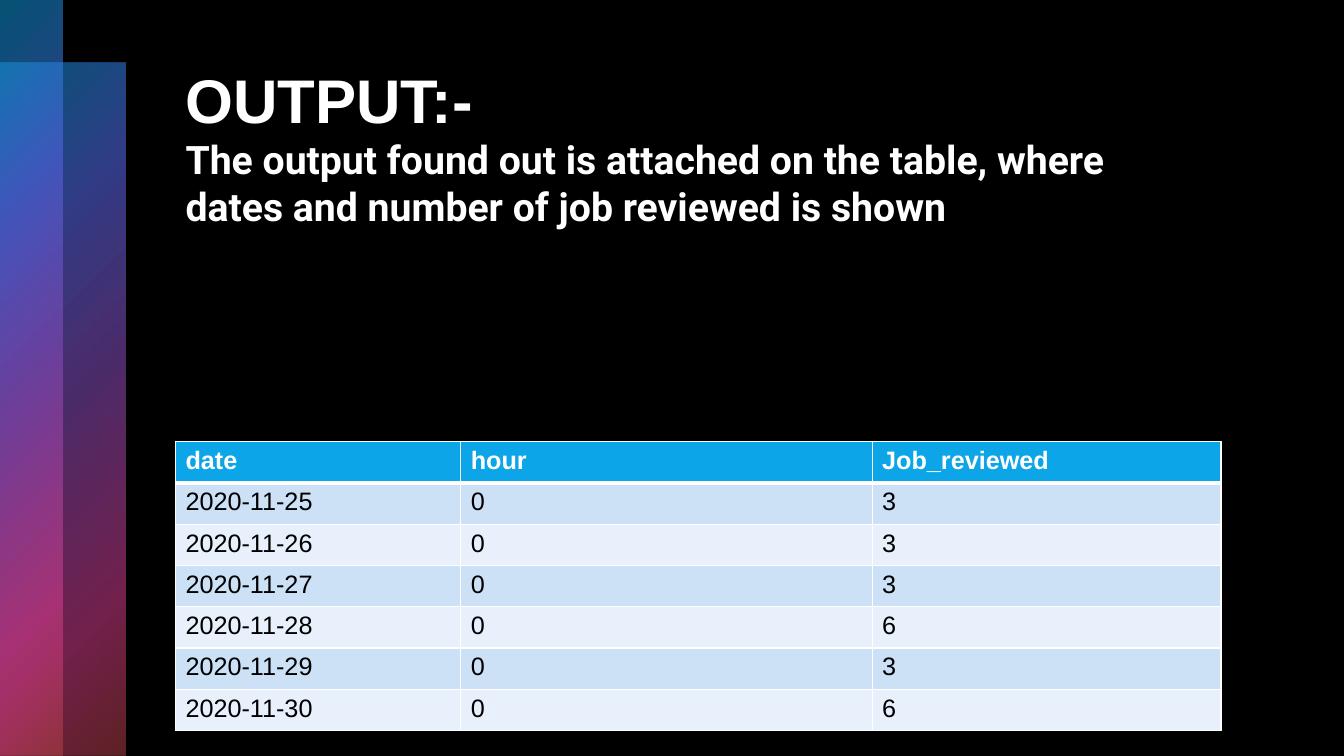
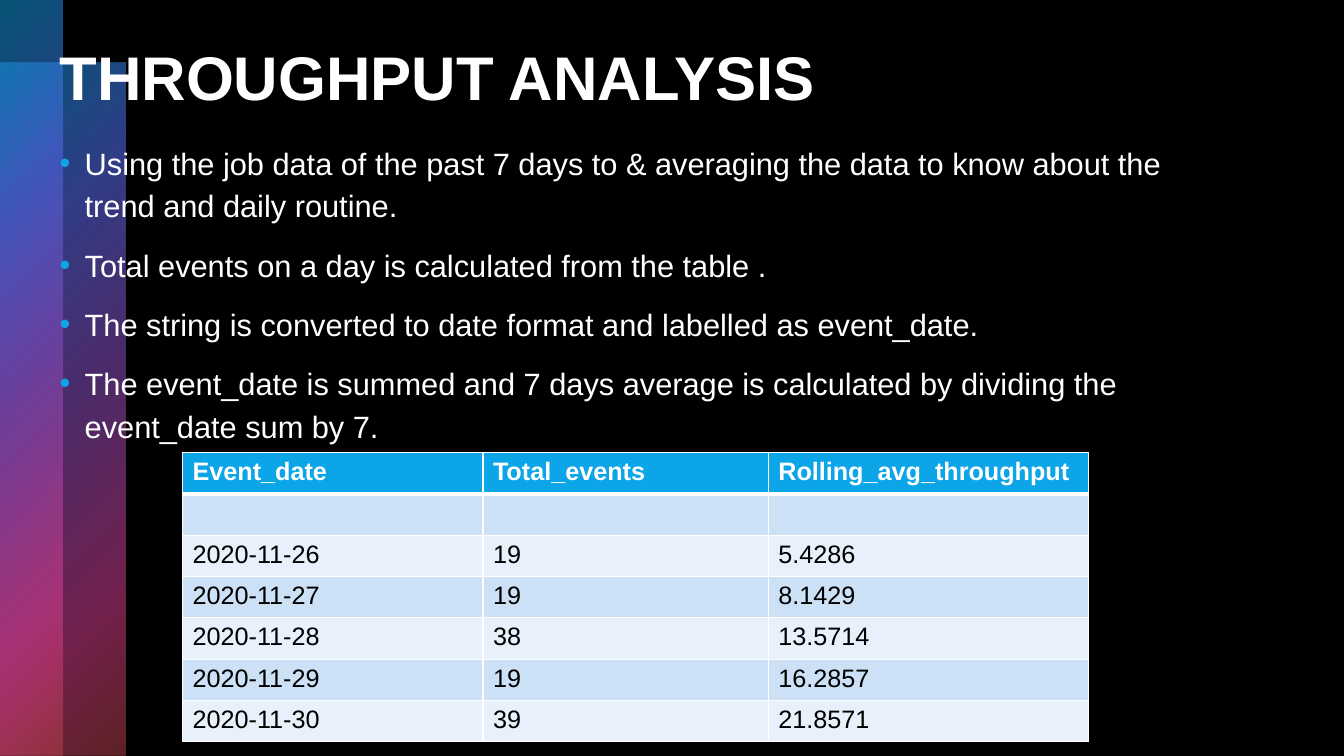
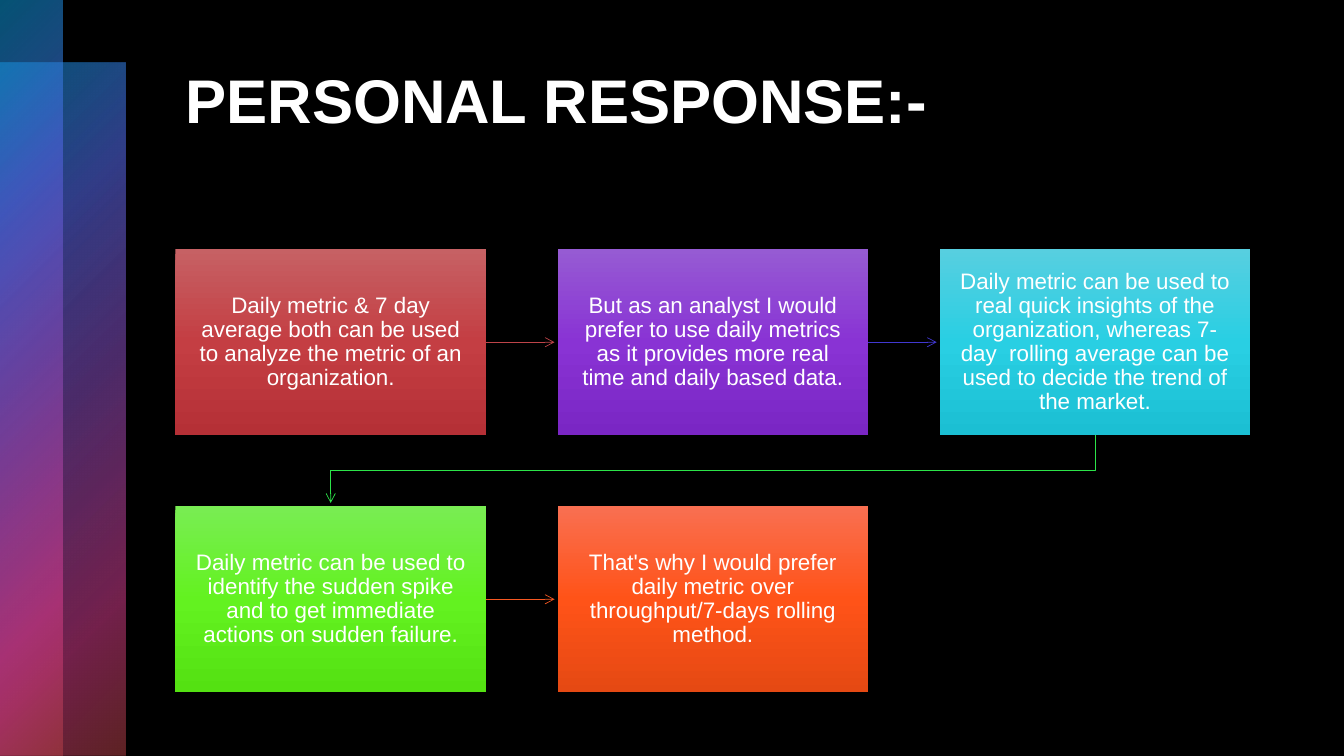
"""Build three slides on daily job reviews and throughput."""
from pptx import Presentation
from pptx.dml.color import RGBColor
from pptx.enum.shapes import MSO_CONNECTOR, MSO_SHAPE
from pptx.enum.text import MSO_ANCHOR, MSO_AUTO_SIZE, PP_ALIGN
from pptx.oxml import parse_xml
from pptx.oxml.ns import nsdecls, qn
from pptx.util import Inches, Pt

RECT = MSO_SHAPE.RECTANGLE
STRAIGHT = MSO_CONNECTOR.STRAIGHT
TOP, MIDDLE = MSO_ANCHOR.TOP, MSO_ANCHOR.MIDDLE
LEFT, CENTER = PP_ALIGN.LEFT, PP_ALIGN.CENTER
NO_FIT = MSO_AUTO_SIZE.NONE

BLACK = RGBColor(0x00, 0x00, 0x00)
WHITE = RGBColor(0xFF, 0xFF, 0xFF)
BLUE = RGBColor(0x0B, 0xA5, 0xE8)
ROW_DARK = RGBColor(0xCC, 0xE1, 0xF6)
ROW_LIGHT = RGBColor(0xE7, 0xF0, 0xFB)
RED_LINE = RGBColor(0xBE, 0x44, 0x49)
INDIGO_LINE = RGBColor(0x41, 0x38, 0xD1)
GREEN_LINE = RGBColor(0x2C, 0xE4, 0x49)
ORANGE_LINE = RGBColor(0xF5, 0x58, 0x22)

TITLE = {"name": "Arial", "size": Pt(44), "bold": True}
SUBTITLE = {"name": "Roboto", "size": Pt(28), "bold": True}
BODY = {"name": "Arial", "size": Pt(22)}
HEADER = {"name": "Arial", "size": Pt(18), "bold": True}
CELL = {"name": "Arial", "size": Pt(18), "bold": False}
BOX = {"name": "Arial", "size": Pt(16)}


def write(p, text, fmt, color=WHITE):
    """Add a formatted run to a paragraph."""
    r = p.add_run()
    r.text = text
    for key, value in fmt.items():
        setattr(r.font, key, value)
    r.font.color.rgb = color


def add_gradient_box(s, at, stops, shade):
    """Add a borderless rectangle with a gradient of (position, colour, opacity) stops."""
    sp = s.shapes.add_shape(RECT, *map(Inches, at))
    sp.shadow.inherit = False
    sp.line.fill.background()
    sp.fill.background()
    gs = "".join(
        f'<a:gs pos="{pos * 1000}"><a:srgbClr val="{color}">'
        f'<a:alpha val="{alpha * 1000}"/></a:srgbClr></a:gs>'
        for pos, color, alpha in stops)
    gradient = parse_xml(
        f'<a:gradFill {nsdecls("a")} rotWithShape="1"><a:gsLst>{gs}</a:gsLst>{shade}</a:gradFill>')
    sp_pr = sp._element.spPr
    sp_pr.replace(sp_pr.find(qn("a:noFill")), gradient)
    return sp


prs = Presentation()
prs.slide_width, prs.slide_height = Inches(13.33), Inches(7.5)
master = prs.slide_master
master.background.fill.solid()
master.background.fill.fore_color.rgb = BLACK

TITLES = [
    (5, "OUTPUT:-", (1.74, 0.5, 10.36, 3.86)),
    (1, "THROUGHPUT ANALYSIS", (0.49, 0.28, 11.62, 1.07)),
    (5, "PERSONAL RESPONSE:-", (1.74, 0.5, 10.37, 1.7)),
]
for layout, text, at in TITLES:
    s = prs.slides.add_slide(prs.slide_layouts[layout])
    sp = s.shapes.title
    sp.left, sp.top, sp.width, sp.height = map(Inches, at)
    tf = sp.text_frame
    tf.auto_size, tf.word_wrap, tf.vertical_anchor = NO_FIT, True, TOP
    tf.margin_top = Inches(0.11)
    p = tf.paragraphs[0]
    p.alignment = LEFT
    write(p, text, TITLE)
output, throughput, response = prs.slides

CORNER = '<a:path path="circle"><a:fillToRect l="0" t="0" r="100000" b="100000"/></a:path>'
BANDS = [((0, 0.62, 1.24, 6.88), 50), ((0, 0, 0.62, 7.5), 49)]
for i, (at, middle) in enumerate(BANDS):
    stops = [(0, "0BA5E8", 50), (25, "5066E1", 60), (middle, "894EC0", 55),
             (81, "E54196", 50), (99, "BE4449", 50)]
    sp = add_gradient_box(output, at, stops, CORNER)
    sp._element.nvSpPr.cNvPr.id = 20 + i
    master.shapes._spTree.insert(2 + i, sp._element)

p = output.shapes.title.text_frame.paragraphs[0]
p.add_line_break()
write(p, "The output found out is attached on the table, where dates and number of job reviewed is shown",
      SUBTITLE)

BULLETS = [
    "Using the job data of the past 7 days to & averaging the data to know about the trend and daily routine.",
    "Total events on a day is calculated from the table .",
    "The string is converted to date format and labelled as event_date.",
    "The event_date is summed and 7 days average is calculated by dividing the event_date sum by 7.",
]
sp = throughput.placeholders[1]
sp.left, sp.top, sp.width, sp.height = map(Inches, (0.49, 1.33, 11.62, 5.32))
tf = sp.text_frame
tf.auto_size, tf.word_wrap, tf.vertical_anchor = NO_FIT, True, TOP
for i, text in enumerate(BULLETS):
    p = tf.add_paragraph() if i else tf.paragraphs[0]
    pPr = p._p.get_or_add_pPr()
    pPr.set("marL", str(Inches(0.25)))
    pPr.set("indent", str(-Inches(0.25)))
    for xml in (f'<a:buClr {nsdecls("a")}><a:srgbClr val="{BLUE}"/></a:buClr>',
                f'<a:buFont {nsdecls("a")} typeface="Arial"/>',
                f'<a:buChar {nsdecls("a")} char="•"/>'):
        pPr.append(parse_xml(xml))
    p.line_spacing = 1.15
    p.space_before = Pt(12 if i else 0)
    write(p, text, BODY)

TABLES = [
    (output, (1.74, 4.38), (2.83, 4.08, 3.46), [
        ("date", "hour", "Job_reviewed"),
        ("2020-11-25", "0", "3"),
        ("2020-11-26", "0", "3"),
        ("2020-11-27", "0", "3"),
        ("2020-11-28", "0", "6"),
        ("2020-11-29", "0", "3"),
        ("2020-11-30", "0", "6"),
    ]),
    (throughput, (1.81, 4.49), (2.98, 2.83, 3.18), [
        ("Event_date", "Total_events", "Rolling_avg_throughput"),
        ("", "", ""),
        ("2020-11-26", "19", "5.4286"),
        ("2020-11-27", "19", "8.1429"),
        ("2020-11-28", "38", "13.5714"),
        ("2020-11-29", "19", "16.2857"),
        ("2020-11-30", "39", "21.8571"),
    ]),
]
ROW_HEIGHT = 0.41
for s, (left, top), widths, rows in TABLES:
    table = s.shapes.add_table(
        len(rows), len(widths), Inches(left), Inches(top),
        Inches(sum(widths)), Inches(ROW_HEIGHT * len(rows))).table
    table.horz_banding = False
    for column, width in zip(table.columns, widths):
        column.width = Inches(width)
    for i, row in enumerate(rows):
        table.rows[i].height = Inches(ROW_HEIGHT)
        for j, text in enumerate(row):
            cell = table.cell(i, j)
            cell.fill.solid()
            cell.fill.fore_color.rgb = BLUE if i == 0 else ROW_DARK if i % 2 else ROW_LIGHT
            if text:
                write(cell.text_frame.paragraphs[0], text,
                      CELL if i else HEADER, BLACK if i else WHITE)
            weights = {"L": 1, "R": 1, "T": 3 if i == 1 else 1, "B": 1 if i else 3}
            for k, (side, weight) in enumerate(weights.items()):
                cell._tc.get_or_add_tcPr().insert(k, parse_xml(
                    f'<a:ln{side} {nsdecls("a")} w="{Pt(weight)}"><a:solidFill>'
                    f'<a:srgbClr val="{WHITE}"/></a:solidFill></a:ln{side}>'))

STEPS = [
    ("Daily metric & 7 day average both can be used to analyze the metric of an organization.",
     ("C66164", "C43E43", "B53036"), RED_LINE),
    ("But as an analyst I would prefer to use daily metrics as it provides more real time and daily based data.",
     ("965BD3", "8933D4", "7A26C4"), INDIGO_LINE),
    ("Daily metric can be used to real quick insights of the organization, whereas 7-day  rolling average "
     "can be used to decide the trend of the market.",
     ("57CFE0", "29CFE3", "1BBFD3"), GREEN_LINE),
    ("Daily metric can be used to identify the sudden spike and to get immediate actions on sudden failure.",
     ("79ED53", "63F220", "54E112"), ORANGE_LINE),
    ("That's why I would prefer daily metric over throughput/7-days rolling method.",
     ("F96F51", "FF5318", "E54913"), None),
]
STEP_W, STEP_H, PER_ROW = 3.08, 1.85, 3
X0, Y0, PITCH_X, PITCH_Y = 1.74, 2.47, 3.79, 2.55
DOWN = '<a:lin ang="5400000" scaled="0"/>'
for i, (text, colors, line_color) in enumerate(STEPS):
    row, col = divmod(i, PER_ROW)
    x, y = X0 + col * PITCH_X, Y0 + row * PITCH_Y
    stops = [(pos, color, 100) for pos, color in zip((0, 50, 100), colors)]
    sp = add_gradient_box(response, (x, y, STEP_W, STEP_H), stops, DOWN)
    tf = sp.text_frame
    tf.word_wrap, tf.vertical_anchor = True, MIDDLE
    tf.margin_left = tf.margin_right = Inches(0.15)
    tf.margin_top = tf.margin_bottom = Inches(0.16)
    p = tf.paragraphs[0]
    p.alignment, p.line_spacing = CENTER, 0.9
    write(p, text, BOX)

    if line_color is None:
        continue
    if col < PER_ROW - 1:
        mid_y = Inches(y + STEP_H / 2)
        arrow = response.shapes.add_connector(
            STRAIGHT, Inches(x + STEP_W), mid_y, Inches(x + PITCH_X - 0.03), mid_y)
    else:
        start_x, end_x = Inches(x + STEP_W / 2), Inches(X0 + STEP_W / 2)
        turn_y = Inches(y + (STEP_H + PITCH_Y) / 2)
        builder = response.shapes.build_freeform(start_x, Inches(y + STEP_H))
        builder.add_line_segments(
            [(start_x, turn_y), (end_x, turn_y), (end_x, Inches(y + PITCH_Y - 0.03))], close=False)
        arrow = builder.convert_to_shape()
        arrow.fill.background()
    arrow.line.color.rgb = line_color
    arrow.line.width = Pt(0.5)
    sp_pr = arrow._element.spPr
    sp_pr.find(qn("a:ln")).append(parse_xml(f'<a:tailEnd {nsdecls("a")} type="arrow"/>'))
    sp_pr.append(parse_xml(f'<a:effectLst {nsdecls("a")}/>'))

prs.save("out.pptx")
